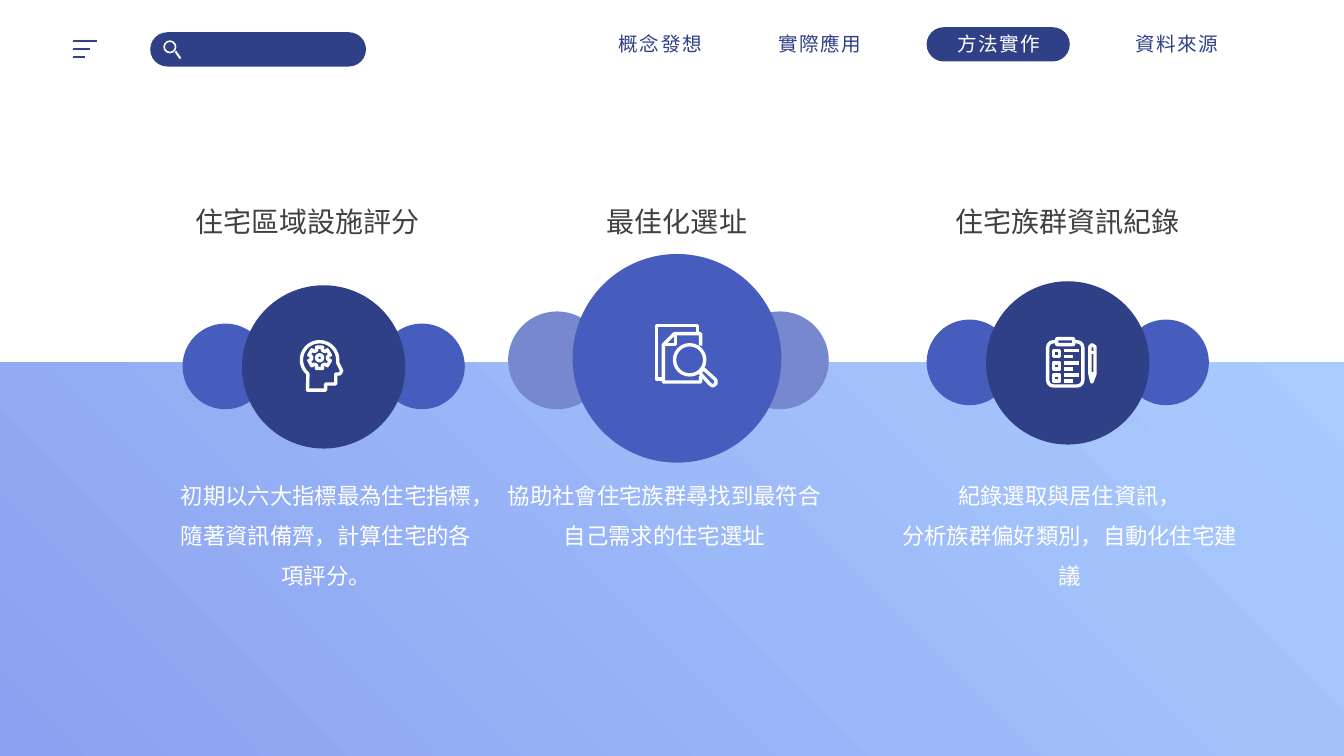
from math import cos, radians, sin

from lxml.etree import SubElement
from pptx import Presentation
from pptx.dml.color import RGBColor
from pptx.enum.shapes import MSO_CONNECTOR, MSO_SHAPE as Preset
from pptx.enum.text import MSO_AUTO_SIZE as AutoSize, PP_ALIGN
from pptx.oxml.ns import qn
from pptx.util import Inches, Pt

FONT = "Noto Sans CJK SC"
COLORS = {
    "navy": "304086", "blue": "475DBD", "lavender": "7888CE", "white": "FFFFFF",
    "title": "404040", "band_start": "8BA2F0", "band_end": "AACBFE",
}
ICON_WIDTH = 2.4


def color(name):
    return RGBColor.from_string(COLORS[name])


def add_filled(shapes, preset, left, top, width, height, fill, adjustment=None):
    shape = shapes.add_shape(preset, Inches(left), Inches(top), Inches(width), Inches(height))
    shape.shadow.inherit = False
    shape.fill.solid()
    shape.fill.fore_color.rgb = color(fill)
    shape.line.fill.background()
    if adjustment is not None:
        shape.adjustments[0] = adjustment
    return shape


def set_outline(shape, fill=None):
    shape.shadow.inherit = False
    if fill:
        shape.fill.solid()
        shape.fill.fore_color.rgb = color(fill)
    else:
        shape.fill.background()
    shape.line.color.rgb = color("white")
    shape.line.width = Pt(ICON_WIDTH)
    SubElement(shape.element.spPr.find(qn("a:ln")), qn("a:round"))


def add_outlined(shapes, preset, left, top, width, height, fill=None):
    shape = shapes.add_shape(preset, Inches(left), Inches(top), Inches(width), Inches(height))
    set_outline(shape, fill)


def add_path(shapes, points, close=False):
    first, *rest = [(Inches(x), Inches(y)) for x, y in points]
    builder = shapes.build_freeform(*first)
    builder.add_line_segments(rest, close=close)
    set_outline(builder.convert_to_shape())


def add_line(shapes, start, end, stroke, width=1.5):
    points = [Inches(value) for value in (*start, *end)]
    connector = shapes.add_connector(MSO_CONNECTOR.STRAIGHT, *points)
    connector.line.color.rgb = color(stroke)
    connector.line.width = Pt(width)
    SubElement(connector.element.spPr, qn("a:effectLst"))


def add_text(shapes, left, top, width, height, text, size, fill,
             line_spacing=None, tracking=None, wrap=True):
    box = shapes.add_textbox(Inches(left), Inches(top), Inches(width), Inches(height))
    frame = box.text_frame
    frame.text = text
    frame.word_wrap = wrap
    frame.auto_size = AutoSize.SHAPE_TO_FIT_TEXT
    for paragraph in frame.paragraphs:
        paragraph.alignment = PP_ALIGN.CENTER
        if line_spacing:
            paragraph.line_spacing = line_spacing
        for run in paragraph.runs:
            run.font.size = Pt(size)
            run.font.name = FONT
            run.font.color.rgb = color(fill)
            properties = run.font._element
            SubElement(properties, qn("a:ea"), typeface=FONT)
            if tracking:
                properties.set("spc", str(tracking * 100))


def add_circles(slide, sides, side_fill, main, main_fill):
    shapes = slide.shapes.add_group_shape().shapes
    left_side, right_side, side_top, side_size = sides
    for left in (left_side, right_side):
        add_filled(shapes, Preset.OVAL, left, side_top, side_size, side_size, side_fill)
    left, top, size = main
    add_filled(shapes, Preset.OVAL, left, top, size, size, main_fill)
    return shapes


def polar(center, radius, degrees):
    angle = radians(degrees)
    return center[0] + radius * cos(angle), center[1] + radius * sin(angle)


def draw_head_icon(shapes):
    skull = [polar((3.17, 3.57), 0.18, degrees) for degrees in range(130, 361, 10)]
    face = [(3.35, 3.6), (3.39, 3.68), (3.37, 3.71), (3.33, 3.71), (3.33, 3.81),
            (3.23, 3.81), (3.23, 3.87), (3.05, 3.87)]
    add_path(shapes, skull + face, close=True)
    tooth = [(0.08, -20), (0.11, -16), (0.11, 16), (0.08, 20)]
    gear = [polar((3.17, 3.55), radius, turn + offset)
            for turn in range(-90, 270, 60) for radius, offset in tooth]
    add_path(shapes, gear, close=True)
    add_outlined(shapes, Preset.OVAL, 3.14, 3.52, 0.06, 0.06)


def draw_search_page_icon(shapes):
    add_path(shapes, [(6.57, 3.76), (6.51, 3.76), (6.51, 3.23), (6.92, 3.23), (6.92, 3.3)])
    add_path(shapes, [(6.95, 3.43), (6.95, 3.31), (6.69, 3.31), (6.58, 3.42),
                      (6.58, 3.79), (6.95, 3.79), (6.95, 3.73)])
    add_path(shapes, [(6.7, 3.31), (6.7, 3.42), (6.58, 3.42)])
    add_outlined(shapes, Preset.OVAL, 6.69, 3.42, 0.3, 0.3)
    add_path(shapes, [(6.94, 3.7), (7.04, 3.81), (7.07, 3.83), (7.1, 3.81),
                      (7.1, 3.77), (6.98, 3.66)], close=True)


def draw_checklist_icon(shapes):
    add_outlined(shapes, Preset.ROUNDED_RECTANGLE, 10.39, 3.39, 0.35, 0.44)
    add_outlined(shapes, Preset.ROUNDED_RECTANGLE, 10.48, 3.36, 0.17, 0.06, "navy")
    for row in range(3):
        top = 3.48 + 0.12 * row
        add_outlined(shapes, Preset.RECTANGLE, 10.45, top, 0.06, 0.06)
        add_line(shapes, (10.55, top), (10.7, top), "white", ICON_WIDTH)
        add_line(shapes, (10.55, top + 0.06), (10.64, top + 0.06), "white", ICON_WIDTH)
    add_path(shapes, [(10.81, 3.44), (10.83, 3.42), (10.86, 3.44), (10.86, 3.71),
                      (10.83, 3.79), (10.81, 3.71)], close=True)
    for y in (3.5, 3.71):
        add_line(shapes, (10.81, y), (10.86, y), "white", ICON_WIDTH)


def add_band(slide):
    band = add_filled(slide.shapes, Preset.RECTANGLE, 0, 3.6, 13.33, 3.9, "band_start")
    band.fill.gradient()
    band.fill.gradient_angle = 45
    for stop, name in zip(band.fill.gradient_stops, ("band_start", "band_end")):
        stop.color.rgb = color(name)


def add_search_bar(slide):
    shapes = slide.shapes.add_group_shape().shapes
    add_filled(shapes, Preset.ROUNDED_RECTANGLE, 1.49, 0.32, 2.14, 0.34, "navy", 0.5)
    add_filled(shapes, Preset.DONUT, 1.62, 0.4, 0.17, 0.13, "white", 0.125).width = Inches(0.13)
    add_line(shapes, (1.74, 0.51), (1.79, 0.58), "white")
    for row, end in enumerate((0.96, 0.89, 0.84)):
        y = 0.41 + 0.08 * row
        add_line(shapes, (0.72, y), (end, y), "navy")


def add_navigation(slide):
    add_filled(slide.shapes, Preset.ROUNDED_RECTANGLE, 9.19, 0.27, 1.42, 0.34, "navy", 0.5)
    for left, label, fill in ((6.03, "概念發想", "navy"), (7.61, "實際應用", "navy"),
                              (9.39, "方法實作", "white"), (11.15, "資料來源", "navy")):
        add_text(slide.shapes, left, 0.27, 1.04, 0.34, label, 14, fill, tracking=1, wrap=False)


def main():
    presentation = Presentation()
    presentation.slide_width = Inches(13.33)
    presentation.slide_height = Inches(7.5)
    slide = presentation.slides.add_slide(presentation.slide_layouts[6])
    add_band(slide)
    draw_search_page_icon(add_circles(
        slide, (5.04, 7.25, 3.09, 0.97), "lavender", (5.68, 2.52, 2.07), "blue"))
    draw_checklist_icon(add_circles(
        slide, (9.19, 11.14, 3.17, 0.85), "blue", (9.78, 2.79, 1.62), "navy"))
    draw_head_icon(add_circles(
        slide, (1.81, 3.76, 3.21, 0.85), "blue", (2.4, 2.83, 1.62), "navy"))
    for left, width, title in ((1.69, 2.72, "住宅區域設施評分"), (5.61, 2.21, "最佳化選址"),
                               (9.36, 2.46, "住宅族群資訊紀錄")):
        add_text(slide.shapes, left, 1.98, width, 0.44, title, 20, "title")
    for left, width, height, body in (
            (1.62, 3.23, 1.27, "初期以六大指標最為住宅指標，隨著資訊備齊，計算住宅的各項評分。"),
            (4.92, 3.34, 0.86, "協助社會住宅族群尋找到最符合自己需求的住宅選址"),
            (8.77, 3.68, 1.27, "紀錄選取與居住資訊，\n分析族群偏好類別，自動化住宅建議")):
        add_text(slide.shapes, left, 4.6, width, height, body, 16, "white", line_spacing=1.5)
    add_search_bar(slide)
    add_navigation(slide)
    presentation.save("out.pptx")


if __name__ == "__main__":
    main()
